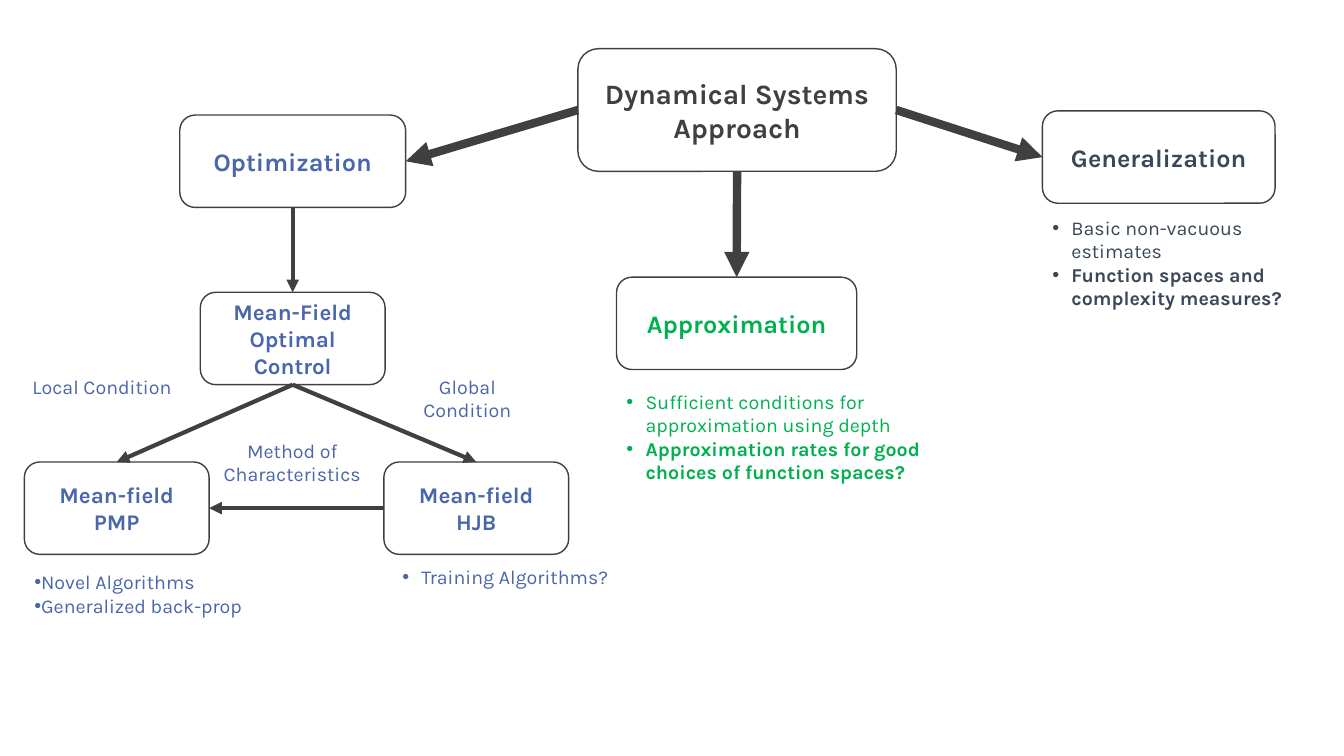
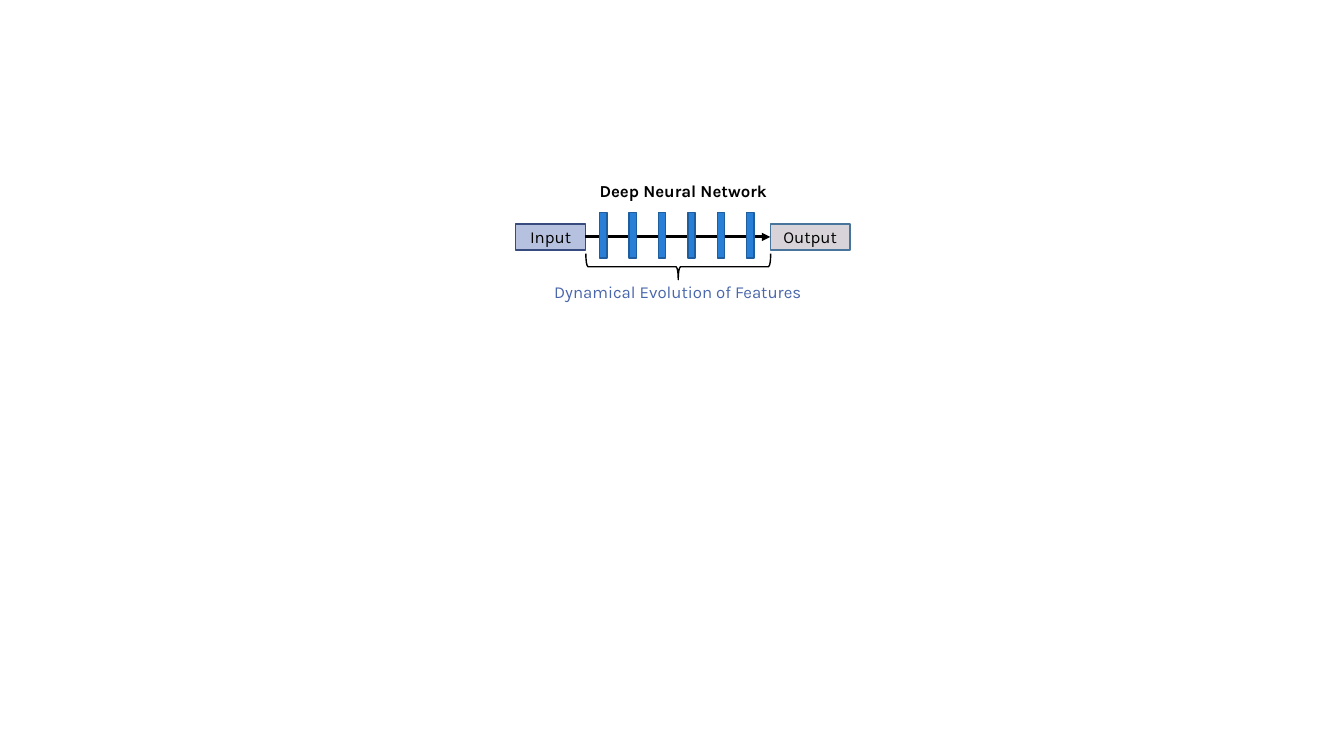
from lxml import etree
from pptx import Presentation
from pptx.dml.color import RGBColor
from pptx.enum.shapes import MSO_CONNECTOR, MSO_SHAPE
from pptx.enum.text import MSO_ANCHOR, PP_ALIGN
from pptx.oxml.ns import qn
from pptx.util import Emu, Inches, Pt

STRAIGHT = MSO_CONNECTOR.STRAIGHT
RECTANGLE, ROUNDED = MSO_SHAPE.RECTANGLE, MSO_SHAPE.ROUNDED_RECTANGLE
LEFT_BRACE = MSO_SHAPE.LEFT_BRACE
MIDDLE, TOP_ANCHOR = MSO_ANCHOR.MIDDLE, MSO_ANCHOR.TOP
CENTER, LEFT_ALIGN = PP_ALIGN.CENTER, PP_ALIGN.LEFT
TOP, LEFT, BOTTOM, RIGHT = range(4)

FONT = "Karla"
WHITE, BLACK, CHARCOAL = "FFFFFF", "000000", "404040"
BLUE, GREEN, SLATE = "4A66AC", "00B050", "3B4759"
LAYER_FILL, LAYER_LINE = "297FD5", "1E5E9E"
INPUT_FILL, INPUT_LINE = "B5C1DF", "374B7F"
OUTPUT_FILL, OUTPUT_LINE = "D8D3D9", "49749B"

COLUMNS, ROWS = 160, 90
SLIDE_WIDTH, SLIDE_HEIGHT = Inches(13.33), Inches(7.5)
NODE_HEIGHT = 11
BULLET_INDENT = Inches(0.19)


def rgb(color):
    """Turn a hex string into a colour."""
    return RGBColor.from_string(color)


def inner(box, left, top, width, height):
    """Return a box placed relative to the corner of an outer box."""
    return box[0] + left, box[1] + top, width, height


def place(box):
    """Convert a box of grid columns and rows to slide lengths."""
    left, top, width, height = box
    return (Emu(int(left * SLIDE_WIDTH / COLUMNS)), Emu(int(top * SLIDE_HEIGHT / ROWS)),
            Emu(int(width * SLIDE_WIDTH / COLUMNS)), Emu(int(height * SLIDE_HEIGHT / ROWS)))


def style_paragraph(paragraph, text, size, color, bold, alignment):
    """Fill one paragraph and set its font."""
    paragraph.text = text
    paragraph.alignment = alignment
    font = paragraph.font
    font.name, font.size, font.bold = FONT, Pt(size), bold
    font.color.rgb = rgb(color)


def add_bullet(paragraph, margin):
    """Give a paragraph a hanging round bullet."""
    properties = paragraph._p.get_or_add_pPr()
    properties.set("marL", str(margin))
    properties.set("indent", str(-BULLET_INDENT))
    etree.SubElement(properties, qn("a:buFont")).set("typeface", "Arial")
    etree.SubElement(properties, qn("a:buChar")).set("char", "•")


def add_block(slide, box, fill, line, shape_type=RECTANGLE):
    """Add a filled and outlined shape."""
    shape = slide.shapes.add_shape(shape_type, *place(box))
    shape.shadow.inherit = False
    shape.fill.solid()
    shape.fill.fore_color.rgb = rgb(fill)
    shape.line.color.rgb = rgb(line)
    shape.line.width = Pt(1)
    return shape


def write_inside(shape, text, size, color, bold=False):
    """Write centred text in a shape."""
    frame = shape.text_frame
    frame.word_wrap = True
    frame.vertical_anchor = MIDDLE
    style_paragraph(frame.paragraphs[0], text, size, color, bold, CENTER)


def add_node(slide, box, text, size, color):
    """Add a rounded node of the concept map."""
    node = add_block(slide, box, WHITE, CHARCOAL, ROUNDED)
    write_inside(node, text, size, color, True)
    return node


def add_text_frame(slide, box):
    """Add a wrapping text box and return its frame."""
    frame = slide.shapes.add_textbox(*place(box)).text_frame
    frame.word_wrap = True
    frame.vertical_anchor = TOP_ANCHOR
    return frame


def add_label(slide, box, text, size, color, bold=False):
    """Add a centred one-paragraph label."""
    frame = add_text_frame(slide, box)
    style_paragraph(frame.paragraphs[0], text, size, color, bold, CENTER)


def add_bullets(slide, box, lines, color, margin=0, alignment=LEFT_ALIGN):
    """Add bulleted lines given as pairs of text and boldness."""
    frame = add_text_frame(slide, box)
    for index, (text, bold) in enumerate(lines):
        paragraph = frame.add_paragraph() if index else frame.paragraphs[0]
        add_bullet(paragraph, margin)
        style_paragraph(paragraph, text, 14, color, bold, alignment)


def add_arrow(slide, start, start_side, end, end_side, width, color=CHARCOAL):
    """Join two shapes with an arrow."""
    arrow = slide.shapes.add_connector(STRAIGHT, 0, 0, 0, 0)
    arrow.begin_connect(start, start_side)
    arrow.end_connect(end, end_side)
    arrow.line.color.rgb = rgb(color)
    arrow.line.width = Pt(width)
    etree.SubElement(arrow.line._get_or_add_ln(), qn("a:tailEnd")).set("type", "triangle")
    etree.SubElement(arrow._element.spPr, qn("a:effectLst"))


def add_brace_below(slide, box):
    """Add a brace that spans the box and points down."""
    left, top, width, height = place(box)
    offset = (width - height) // 2
    brace = slide.shapes.add_shape(LEFT_BRACE, left + offset, top - offset, height, width)
    brace.rotation = 270
    brace.shadow.inherit = False
    brace.fill.background()
    brace.line.color.rgb = rgb(BLACK)
    brace.line.width = Pt(1)


def draw_optimization(slide, box):
    """Draw the optimization branch and return its top node."""
    top_node = add_node(slide, inner(box, 18.9, 0, 26.9, NODE_HEIGHT), "Optimization", 18, BLUE)
    control, pmp, hjb = [
        add_node(slide, inner(box, left, top, 22, NODE_HEIGHT), text, 16, BLUE)
        for left, top, text in (
            (21.35, 21.1, "Mean-Field Optimal Control"),
            (0.4, 41.3, "Mean-field PMP"),
            (43.2, 41.3, "Mean-field HJB"),
        )
    ]
    for start, start_side, end, end_side in (
        (top_node, BOTTOM, control, TOP),
        (control, BOTTOM, pmp, TOP),
        (control, BOTTOM, hjb, TOP),
        (hjb, LEFT, pmp, RIGHT),
    ):
        add_arrow(slide, start, start_side, end, end_side, 3)
    for left, top, width, height, text in (
        (22, 37.9, 20.6, 6.8, "Method of Characteristics"),
        (43.5, 30.3, 19.3, 6.8, "Global Condition"),
        (0, 30.3, 19.3, 4.1, "Local Condition"),
    ):
        add_label(slide, inner(box, left, top, width, height), text, 14, BLUE)
    add_bullets(slide, inner(box, 0.4, 53.6, 33.2, 6.8),
                [("Novel Algorithms", False), ("Generalized back-prop", False)], BLUE)
    add_bullets(slide, inner(box, 41.8, 53, 33.2, 4.1),
                [("Training Algorithms?", False)], BLUE, alignment=CENTER)
    return top_node


def draw_topic(slide, box, node_width, bullet_top, title, lines, color):
    """Draw a node with bullets below it and return the node."""
    node = add_node(slide, inner(box, 0, 0, node_width, NODE_HEIGHT), title, 18, color)
    bullet_box = inner(box, 0, bullet_top, box[2], box[3] - bullet_top)
    add_bullets(slide, bullet_box, lines, color, BULLET_INDENT)
    return node


def draw_network(slide, box):
    """Draw the layered network between its input and output."""
    add_brace_below(slide, inner(box, 8.35, 9.3, 22, 3.1))
    add_label(slide, inner(box, 2.7, 12.1, 33.2, 3.6), "Dynamical Evolution of Features", 12, BLUE)
    source = add_block(slide, inner(box, 0, 5.75, 8.3, 3.1), INPUT_FILL, INPUT_LINE)
    target = add_block(slide, inner(box, 30.3, 5.75, 9.5, 3.1), OUTPUT_FILL, OUTPUT_LINE)
    write_inside(source, "Input", 12, BLACK)
    write_inside(target, "Output", 12, BLACK)
    add_arrow(slide, source, RIGHT, target, LEFT, 2, BLACK)
    for index in range(6):
        add_block(slide, inner(box, 10 + 3.5 * index, 4.4, 0.85, 5.4), LAYER_FILL, LAYER_LINE)
    add_label(slide, inner(box, 5.3, 0, 29.3, 3.6), "Deep Neural Network", 12, BLACK, True)


def build_map_slide(slide):
    """Build the concept map of the approach."""
    root = add_node(slide, (68.8, 5.8, 37.9, 14.6), "Dynamical Systems Approach", 20, CHARCOAL)
    optimization = draw_optimization(slide, (2.5, 13.7, 75, 60.4))
    generalization = draw_topic(
        slide, (124.1, 13.2, 33.4, 24.4), 27.7, 11.9, "Generalization",
        [("Basic non-vacuous estimates", False),
         ("Function spaces and complexity measures?", True)], SLATE)
    approximation = draw_topic(
        slide, (73.4, 33, 42, 25.3), 28.6, 12.8, "Approximation",
        [("Sufficient conditions for approximation using depth", False),
         ("Approximation rates for good choices of function spaces?", True)], GREEN)
    for start_side, end, end_side in (
        (LEFT, optimization, RIGHT), (BOTTOM, approximation, TOP), (RIGHT, generalization, LEFT),
    ):
        add_arrow(slide, root, start_side, end, end_side, 6)


def build_network_slide(slide):
    """Build the slide of the deep network."""
    draw_network(slide, (61.4, 20.9, 39.8, 15.7))


def main():
    """Build and save the presentation."""
    presentation = Presentation()
    presentation.slide_width, presentation.slide_height = SLIDE_WIDTH, SLIDE_HEIGHT
    for build in (build_map_slide, build_network_slide):
        build(presentation.slides.add_slide(presentation.slide_layouts[6]))
    presentation.save("out.pptx")


if __name__ == "__main__":
    main()
